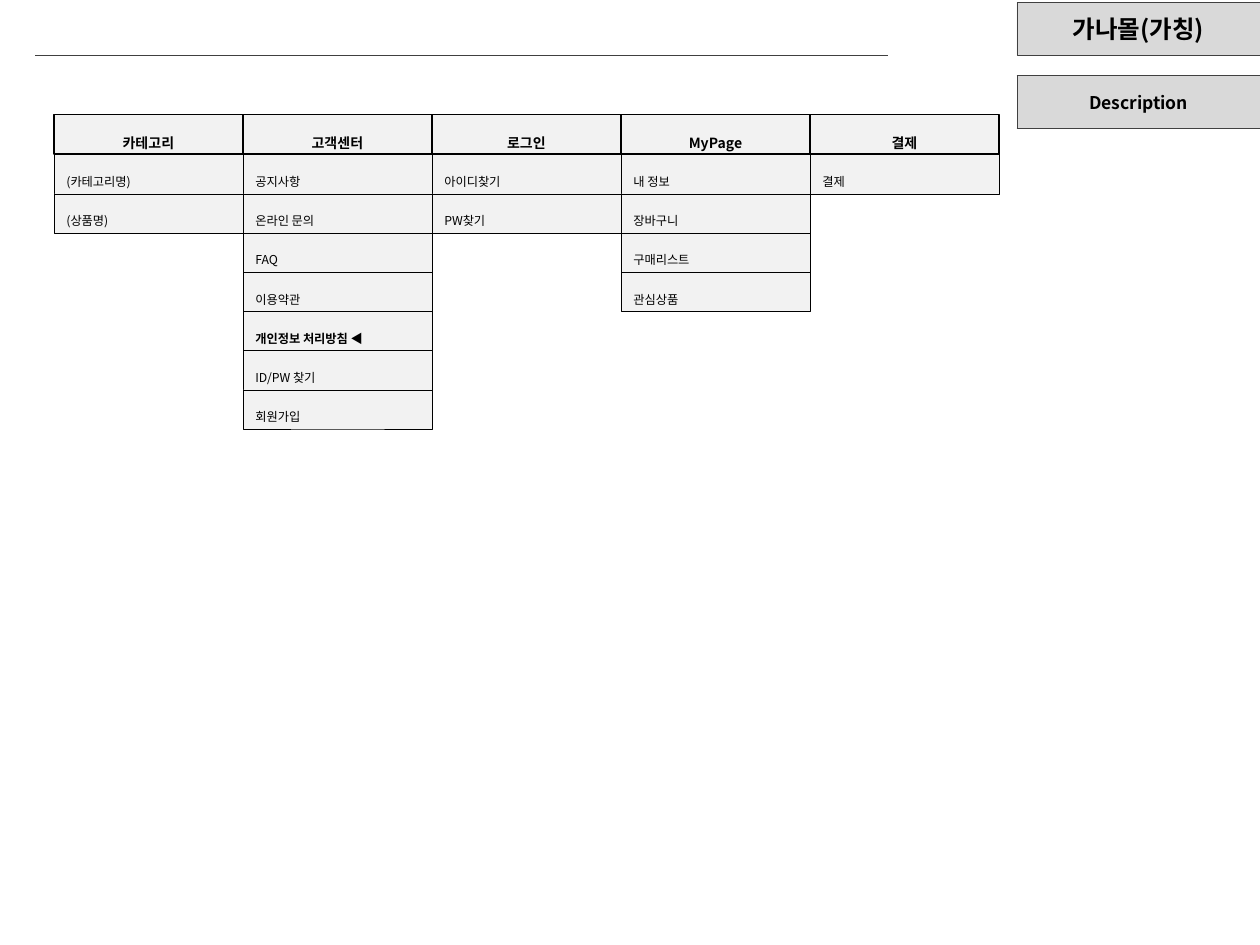
from lxml.etree import SubElement
from pptx import Presentation
from pptx.dml.color import RGBColor
from pptx.enum.shapes import MSO_CONNECTOR as Connector, MSO_SHAPE as Shape
from pptx.enum.text import MSO_ANCHOR as Anchor, PP_ALIGN as Align
from pptx.oxml import parse_xml
from pptx.oxml.ns import nsdecls, qn
from pptx.util import Cm, Pt

FONT = "Noto Sans CJK KR"
BLACK, DARK, GREY, PALE = "000000", "404040", "D9D9D9", "F2F2F2"

PROJECT = "가나몰(가칭)"
SIDE_TITLE = "Description"
CURRENT = "개인정보 처리방침 ◀"
MENUS = [
    ("카테고리", ["(카테고리명)", "(상품명)"]),
    ("고객센터", ["공지사항", "온라인 문의", "FAQ", "이용약관", CURRENT,
              "ID/PW 찾기", "회원가입"]),
    ("로그인", ["아이디찾기", "PW찾기"]),
    ("MyPage", ["내 정보", "장바구니", "구매리스트", "관심상품"]),
    ("결제", ["결제"]),
]

# Lengths in centimetres
SIDE_LEFT, SIDE_WIDTH, SIDE_HEIGHT = 20.5, 4.9, 1.07
MENU_LEFT, MENU_WIDTH, MENU_HEIGHT = 1.09, 3.81, 0.79
HEAD_TOP, ITEM_TOP = 2.31, 3.12


def color(value):
    return RGBColor.from_string(value)


def write(frame, text, size, bold=False, align=Align.LEFT, spacing=None):
    frame.word_wrap = True
    para = frame.paragraphs[0]
    para.alignment = align
    para.line_spacing = spacing
    span = para.add_run()
    span.text = text
    font = span.font
    font.name, font.size, font.bold = FONT, Pt(size), bold
    font.color.rgb = color(BLACK)
    SubElement(span._r.get_or_add_rPr(), qn("a:ea"), typeface=FONT)


def add_box(page, left, top, width, height, text, fill, line, weight, **style):
    box = page.shapes.add_shape(
        Shape.RECTANGLE, Cm(left), Cm(top), Cm(width), Cm(height))
    box.shadow.inherit = False
    box.fill.solid()
    box.fill.fore_color.rgb = color(fill)
    box.line.color.rgb = color(line)
    box.line.width = Pt(weight)
    box.text_frame.vertical_anchor = Anchor.MIDDLE
    write(box.text_frame, text, **style)


def add_side_table(page, top):
    table = page.shapes.add_table(
        1, 1, Cm(SIDE_LEFT), Cm(top), Cm(SIDE_WIDTH), Cm(SIDE_HEIGHT)).table
    cell = table.cell(0, 0)
    cell.fill.solid()
    cell.fill.fore_color.rgb = color(GREY)
    cell.vertical_anchor = Anchor.MIDDLE
    write(cell.text_frame, SIDE_TITLE, size=10, bold=True, align=Align.CENTER)
    for index, side in enumerate("LRTB"):
        cell._tc.get_or_add_tcPr().insert(index, parse_xml(
            f'<a:ln{side} {nsdecls("a")} w="{Pt(0.25)}"><a:solidFill>'
            f'<a:srgbClr val="{DARK}"/></a:solidFill></a:ln{side}>'))


def add_rule(page, left, right, top):
    rule = page.shapes.add_connector(
        Connector.STRAIGHT, Cm(left), Cm(top), Cm(right), Cm(top))
    rule.line.color.rgb = color(DARK)
    rule.line.width = Pt(0.75)
    SubElement(rule._element.spPr, qn("a:effectLst"))


def add_menu(page, column, heading, items):
    left = MENU_LEFT + column * MENU_WIDTH
    add_box(page, left, HEAD_TOP, MENU_WIDTH, MENU_HEIGHT, heading, PALE, BLACK,
            1, size=8, bold=True, align=Align.CENTER, spacing=2.0)
    for row, item in enumerate(items):
        add_box(page, left, ITEM_TOP + row * MENU_HEIGHT, MENU_WIDTH, MENU_HEIGHT,
                item, PALE, BLACK, 0.25, size=7, bold=item == CURRENT, spacing=2.0)


def main():
    deck = Presentation()
    deck.slide_width, deck.slide_height = Cm(25.4), Cm(19.05)
    page = deck.slides.add_slide(deck.slide_layouts[6])
    add_box(page, SIDE_LEFT, 0.05, SIDE_WIDTH, SIDE_HEIGHT, PROJECT, GREY, DARK,
            0.25, size=14, bold=True, align=Align.CENTER)
    add_side_table(page, 1.52)
    add_rule(page, 0.71, 17.9, 1.12)
    for column, (heading, items) in enumerate(MENUS):
        add_menu(page, column, heading, items)
    deck.save("out.pptx")


if __name__ == "__main__":
    main()
